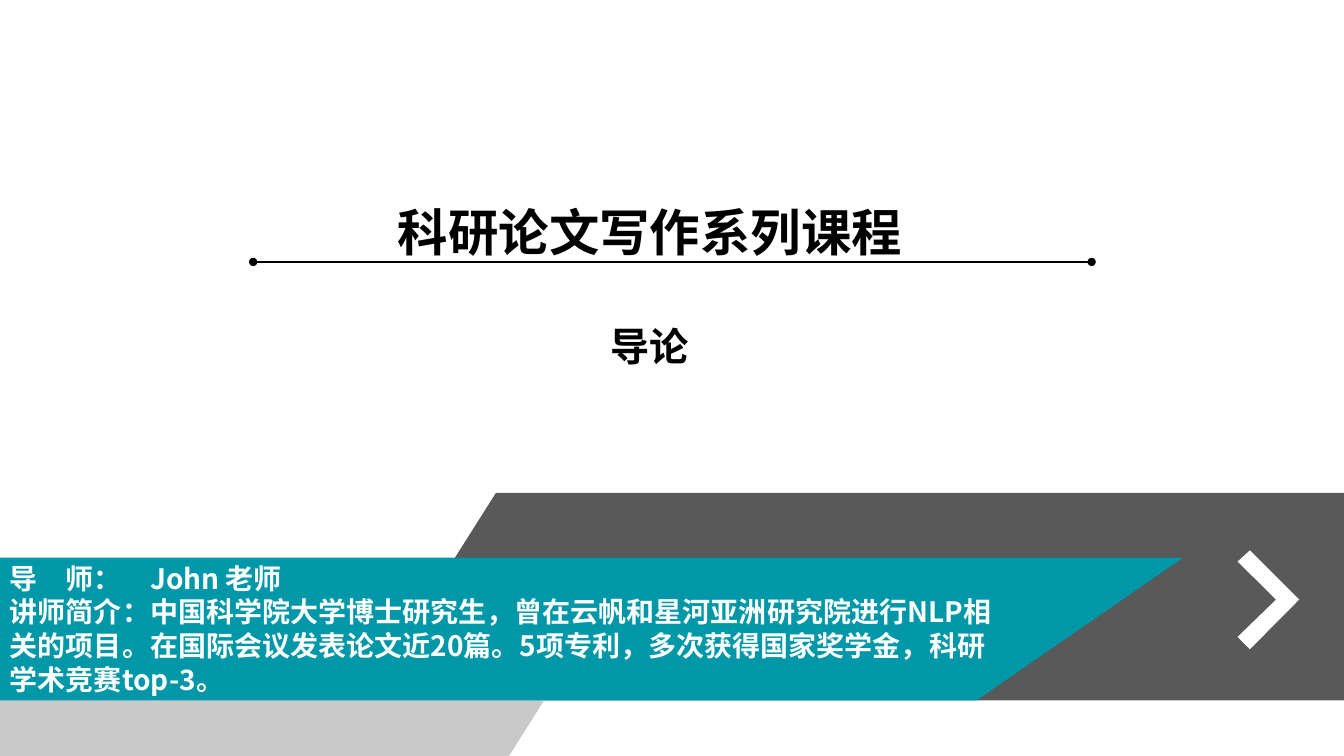
from lxml import etree
from pptx import Presentation
from pptx import util as u
from pptx.dml.color import RGBColor
from pptx.enum import shapes, text
from pptx.oxml import ns

BLACK = RGBColor(0x00, 0x00, 0x00)
WHITE = RGBColor(0xFF, 0xFF, 0xFF)
DARK = RGBColor(0x59, 0x59, 0x59)
LIGHT = RGBColor(0xC9, 0xC9, 0xC9)
TEAL = RGBColor(0x00, 0x98, 0xA8)
WIDTH, HEIGHT = 33.87, 19.05


class CoverPainter:
    """Draws the elements of a cover page in one shared style."""

    font = "Noto Sans CJK SC"
    leading = 1.2

    def __init__(self, page):
        self.page = page

    def polygon(self, points, color):
        corners = [(u.Cm(x), u.Cm(y)) for x, y in points]
        builder = self.page.shapes.build_freeform(*corners[0])
        builder.add_line_segments(corners[1:], close=True)
        shape = builder.convert_to_shape()
        shape.shadow.inherit = False
        shape.fill.solid()
        shape.fill.fore_color.rgb = color
        shape.line.fill.background()

    def text_box(self, place, lines, color, align, gap=0):
        box = self.page.shapes.add_textbox(*map(u.Cm, place))
        frame = box.text_frame
        frame.word_wrap = True
        frame.text = "\n".join(words for words, size in lines)
        for para, (words, size) in zip(frame.paragraphs, lines):
            para.alignment = align
            para.line_spacing = u.Pt(size * self.leading)
            for span in para.runs:
                span.font.size = u.Pt(size)
                span.font.bold = True
                span.font.name = self.font
                span.font.color.rgb = color
                east = etree.SubElement(span.font._element, ns.qn("a:ea"))
                east.set("typeface", self.font)
        frame.paragraphs[-1].space_before = u.Pt(gap)

    def dotted_rule(self, left, right, top):
        rule = self.page.shapes.add_connector(
            shapes.MSO_CONNECTOR.STRAIGHT, u.Cm(left), u.Cm(top), u.Cm(right), u.Cm(top))
        rule.line.color.rgb = BLACK
        rule.line.width = u.Pt(1)
        outline = rule.line._get_or_add_ln()
        for end in ("a:headEnd", "a:tailEnd"):
            etree.SubElement(outline, ns.qn(end)).set("type", "oval")
        etree.SubElement(rule._element.spPr, ns.qn("a:effectLst"))


def main():
    deck = Presentation()
    deck.slide_width, deck.slide_height = u.Cm(WIDTH), u.Cm(HEIGHT)
    cover = CoverPainter(deck.slides.add_slide(deck.slide_layouts[6]))

    band_top, band_bottom = 14.05, 17.65
    cover.polygon([(WIDTH, band_bottom), (9.19, band_bottom), (12.5, 12.42), (WIDTH, 12.42)], DARK)
    cover.polygon([(0, 14.3), (15.82, 14.3), (12.83, HEIGHT), (0, HEIGHT)], LIGHT)
    cover.polygon([(0, band_top), (29.82, band_top), (24.61, band_bottom), (0, band_bottom)], TEAL)
    cover.polygon([(31.5, 13.87), (32.74, 15.11), (31.5, 16.36),
                   (31.19, 16.05), (32.16, 15.11), (31.19, 14.15)], WHITE)

    cover.text_box((0, 14.02, 25.27, 3.68), [
        ("导　师：　John 老师", 20),
        ("讲师简介：中国科学院大学博士研究生，曾在云帆和星河亚洲研究院进行NLP相关的项目。"
         "在国际会议发表论文近20篇。5项专利，多次获得国家奖学金，科研学术竞赛top-3。", 20),
    ], WHITE, text.PP_ALIGN.LEFT)
    cover.text_box((2.97, 4.95, 26.82, 4.52), [("科研论文写作系列课程", 36), ("导论", 28)],
                   BLACK, text.PP_ALIGN.CENTER, gap=43)
    cover.dotted_rule(6.38, 27.51, 6.6)

    deck.save("out.pptx")


if __name__ == "__main__":
    main()
